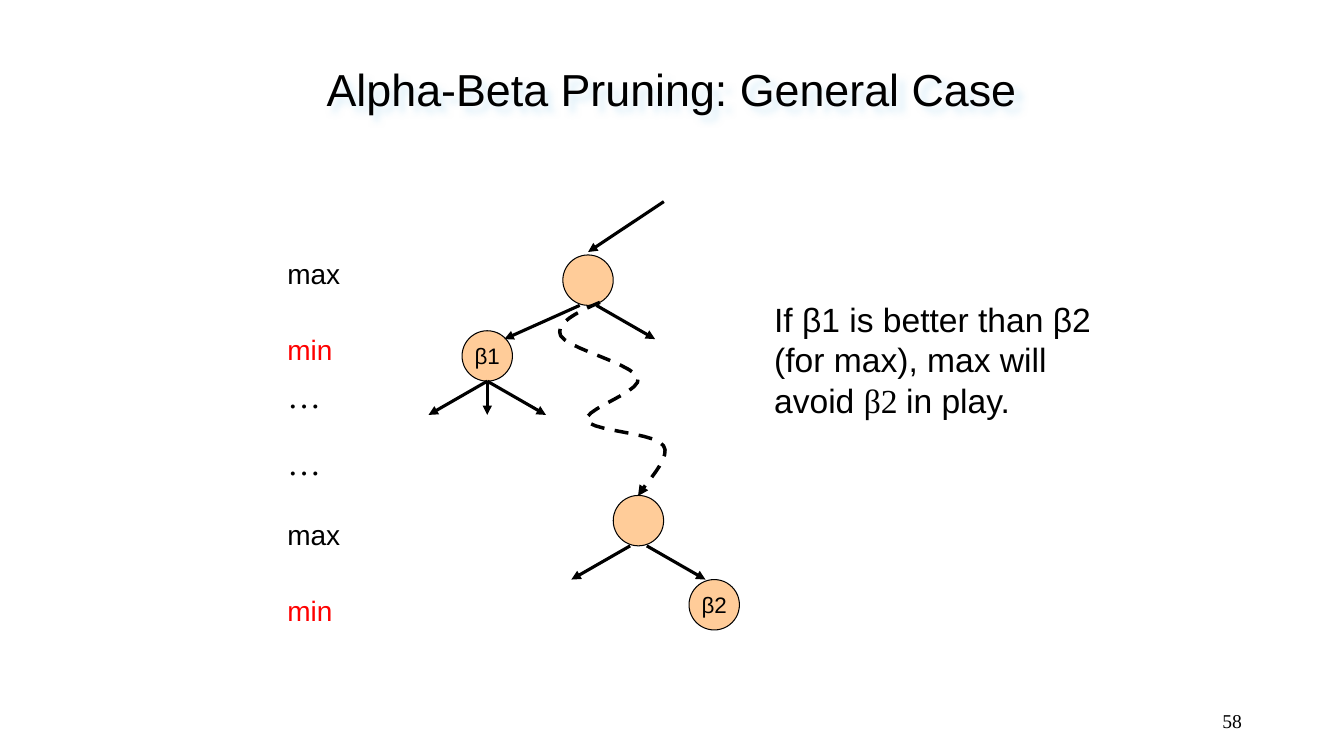
from lxml import etree
from pptx import Presentation
from pptx.dml.color import RGBColor
from pptx.enum.dml import MSO_LINE
from pptx.enum.shapes import MSO_CONNECTOR, MSO_SHAPE
from pptx.enum.text import MSO_ANCHOR as Anchor, MSO_AUTO_SIZE as AutoSize, PP_ALIGN as Align
from pptx.oxml import parse_xml
from pptx.oxml.ns import nsdecls, qn
from pptx.util import Cm, Pt

BLACK = RGBColor(0, 0, 0)
RED = RGBColor(0xFF, 0, 0)
PEACH = RGBColor(0xFF, 0xCC, 0x99)
SHADOW_BLUE = RGBColor(0xBB, 0xE0, 0xF3)
SANS, SERIF = "Arial", "Times New Roman"

NODE_SIZE = 1.27
BRANCH_DROP, BRANCH_SPREAD, BRANCH_GAP = 0.85, 1.48, 0.21
# Start of the path, then two control points and an end point per curve.
PATH_START = (4.32, 2.54)
PATH_CURVES = [
    ((3.73, 2.79), (3.18, 3.07), (3.33, 3.38)),
    ((3.51, 3.71), (5.16, 4.09), (5.28, 4.45)),
    ((5.38, 4.8), (3.89, 5.23), (3.99, 5.51)),
    ((4.09, 5.79), (5.72, 5.82), (5.92, 6.15)),
    ((6.15, 6.45), (5.38, 7.19), (5.28, 7.42)),
]
CURVE_STEPS = 10


def write(shape, text, size, font=SANS, color=BLACK, align=Align.LEFT,
          anchor=Anchor.TOP, wrap=True, grow=False):
    """Fill a shape with text; a list holds (text, font) runs."""
    frame = shape.text_frame
    frame.word_wrap = wrap
    frame.vertical_anchor = anchor
    if grow:
        frame.auto_size = AutoSize.SHAPE_TO_FIT_TEXT
    paragraph = frame.paragraphs[0]
    paragraph.alignment = align
    for words, face in [(text, font)] if isinstance(text, str) else text:
        run = paragraph.add_run()
        run.text = words
        run.font.size, run.font.name = Pt(size), face
        run.font.color.rgb = color


def add_text(slide, left, top, width, height, text, size, **style):
    box = slide.shapes.add_textbox(Cm(left), Cm(top), Cm(width), Cm(height))
    write(box, text, size, **style)
    return box


def style_arrow(line, width):
    line.color.rgb = BLACK
    line.width = Pt(width)
    etree.SubElement(line._get_or_add_ln(), qn("a:tailEnd"), type="triangle")


def add_arrow(slide, start, end):
    arrow = slide.shapes.add_connector(
        MSO_CONNECTOR.STRAIGHT, *(Cm(value) for value in (*start, *end)))
    style_arrow(arrow.line, 2.25)
    etree.SubElement(arrow._element.spPr, qn("a:effectLst"))


def add_node(slide, x, y, label=""):
    """Draw a tree node centred on x, y."""
    node = slide.shapes.add_shape(
        MSO_SHAPE.OVAL, Cm(x - NODE_SIZE / 2), Cm(y - NODE_SIZE / 2),
        Cm(NODE_SIZE), Cm(NODE_SIZE))
    node.shadow.inherit = False
    node.fill.solid()
    node.fill.fore_color.rgb = PEACH
    node.line.color.rgb = BLACK
    node.line.width = Pt(0.75)
    if label:
        write(node, label, 16, align=Align.CENTER, anchor=Anchor.MIDDLE, wrap=False)


def add_branches(slide, x, y, branches):
    """Draw arrows from below a node; each branch is (start offset, run)."""
    bottom = y + NODE_SIZE / 2
    for offset, run in branches:
        add_arrow(slide, (x + offset, bottom), (x + offset + run, bottom + BRANCH_DROP))


def curve_points():
    """Sample the cubic curves of the dashed path."""
    start = PATH_START
    for first, second, end in PATH_CURVES:
        for step in range(1, CURVE_STEPS + 1):
            t = step / CURVE_STEPS
            yield tuple((1 - t) ** 3 * a + 3 * (1 - t) ** 2 * t * b
                        + 3 * (1 - t) * t ** 2 * c + t ** 3 * d
                        for a, b, c, d in zip(start, first, second, end))
        start = end


def add_dashed_path(slide, left, top):
    def place(point):
        return Cm(left + point[0]), Cm(top + point[1])

    builder = slide.shapes.build_freeform(*place(PATH_START))
    builder.add_line_segments([place(p) for p in curve_points()], close=False)
    dashed_path = builder.convert_to_shape()
    dashed_path.shadow.inherit = False
    dashed_path.fill.background()
    dashed_path.line.dash_style = MSO_LINE.DASH
    style_arrow(dashed_path.line, 2.5)


def add_game_tree(slide, left, top):
    root = (left + 4.02, top + 1.98)
    beta1 = (left + 1.48, top + 3.89)
    deep_max = (left + 5.29, top + 8.04)
    beta2 = (left + 7.2, top + 10.16)
    for centre, label in ((root, ""), (beta1, "β1"), (beta2, "β2"), (deep_max, "")):
        add_node(slide, *centre, label)
    right = (BRANCH_GAP, BRANCH_SPREAD)
    add_arrow(slide, (left + 5.93, top), (root[0], top + 1.27))
    add_branches(slide, *root, [(-BRANCH_GAP, -1.9), right])
    add_branches(slide, *beta1, [(0, run) for run in (-BRANCH_SPREAD, 0, BRANCH_SPREAD)])
    add_branches(slide, *deep_max, [(-BRANCH_GAP, -BRANCH_SPREAD), right])
    add_dashed_path(slide, left, top)


def add_level_labels(slide, left, top):
    for offset in (0, 6.56):
        add_text(slide, left, top + offset, 1.85, 1.09, "max", 20, wrap=False, grow=True)
        add_text(slide, left, top + offset + 1.91, 1.65, 1.09, "min", 20,
                 color=RED, wrap=False, grow=True)
    for offset in (2.97, 4.66):
        add_text(slide, left, top + offset, 1.35, 1.27, "…", 24,
                 font=SERIF, wrap=False, grow=True)


def add_title(slide, left, top, width, height):
    title = add_text(slide, left, top, width, height, "Alpha-Beta Pruning: General Case",
                     32, align=Align.CENTER, anchor=Anchor.MIDDLE, wrap=False)
    title._element.spPr.append(parse_xml(
        f'<a:effectLst {nsdecls("a")}><a:outerShdw blurRad="63500" dist="71842" '
        f'dir="2700000" algn="ctr" rotWithShape="0"><a:srgbClr val="{SHADOW_BLUE}">'
        '<a:alpha val="50000"/></a:srgbClr></a:outerShdw></a:effectLst>'))


def add_conclusion(slide, left, top, width, height):
    add_text(slide, left, top, width, height, [
        ("If β1 is better than β2 (for max), max will avoid ", SANS),
        ("β2 ", SERIF),
        ("in play.", SANS),
    ], 24, grow=True)


def main():
    deck = Presentation()
    deck.slide_width, deck.slide_height = Cm(33.87), Cm(19.05)
    slide = deck.slides.add_slide(deck.slide_layouts[6])
    add_title(slide, 5.93, 1.06, 22.01, 2.33)
    add_game_tree(slide, 10.8, 5.08)
    add_level_labels(slide, 6.99, 6.35)
    add_conclusion(slide, 19.26, 7.41, 8.89, 3.33)
    add_text(slide, 23.93, 17.65, 7.62, 1.02, "58", 14, font=SERIF,
             align=Align.RIGHT, anchor=Anchor.MIDDLE)
    deck.save("out.pptx")


if __name__ == "__main__":
    main()
